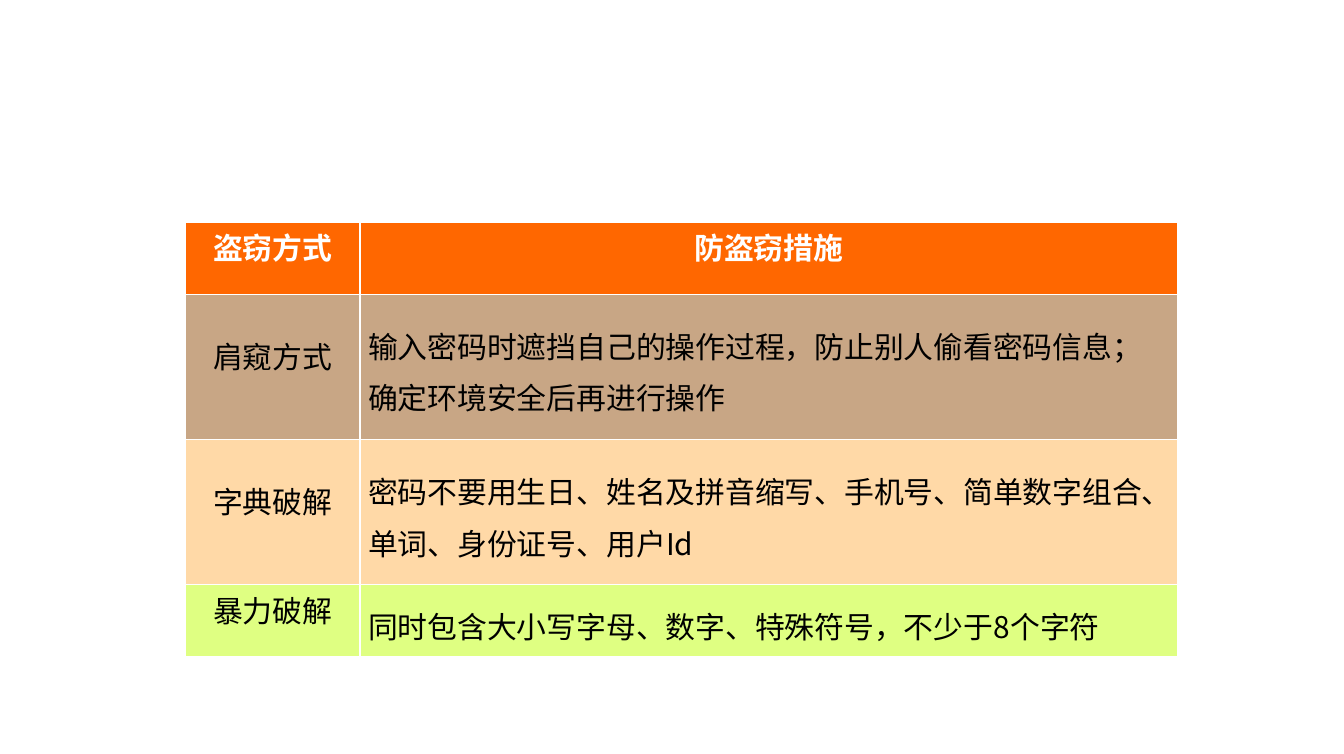
import pptx
import pptx.dml.color
import pptx.enum.text
import pptx.oxml.ns
import pptx.util
from lxml import etree

PX = 9144  # EMU; 100 px make an inch
FONT = "Noto Sans CJK SC"
ALIGN = pptx.enum.text.PP_ALIGN
COLS = [130, 608]
UNIT = 54
ROWS = [
    ("FF6700", 1, "盗窃方式", "防盗窃措施"),
    ("C8A685", 2, "肩窥方式",
     "输入密码时遮挡自己的操作过程，防止别人偷看密码信息；确定环境安全后再进行操作"),
    ("FFD9A7", 2, "字典破解",
     "密码不要用生日、姓名及拼音缩写、手机号、简单数字组合、单词、身份证号、用户Id"),
    ("DFFF82", 1, "暴力破解", "同时包含大小写字母、数字、特殊符号，不少于8个字符"),
]


def px(n):
    return pptx.util.Emu(n * PX)


def rgb(code):
    return pptx.dml.color.RGBColor.from_string(code)


def sub(node, tag, **attrs):
    return etree.SubElement(node, pptx.oxml.ns.qn(tag), **attrs)


class Deck:
    def __init__(self, wide, high):
        self.pres = pptx.Presentation()
        self.pres.slide_width, self.pres.slide_height = px(wide), px(high)
        self.slide = self.pres.slides.add_slide(self.pres.slide_layouts[6])
        self.size = pptx.util.Pt(16)

    def edge(self, cell, color="FFFFFF"):
        """Line all four sides of a cell; call before the fill is set."""
        props = cell._tc.get_or_add_tcPr()
        for side in "LRTB":
            line = sub(props, f"a:ln{side}", w=str(pptx.util.Pt(1)))
            sub(sub(line, "a:solidFill"), "a:srgbClr", val=color)

    def cell(self, cell, text, fill, head, center):
        self.edge(cell)
        cell.fill.solid()
        cell.fill.fore_color.rgb = rgb(fill)
        cell.margin_left = cell.margin_right = px(6)
        cell.margin_top = cell.margin_bottom = 0
        cell.vertical_anchor = pptx.enum.text.MSO_ANCHOR.MIDDLE
        para = cell.text_frame.paragraphs[0]
        para.text = text
        para.alignment = ALIGN.CENTER if center else ALIGN.LEFT
        para.line_spacing = pptx.util.Pt(10.6) if center else 1.2
        font = para.runs[0].font
        font.size, font.bold, font.name = self.size, head, FONT
        font.color.rgb = rgb("FFFFFF" if head else "000000")
        sub(para.runs[0]._r.get_or_add_rPr(), "a:ea", typeface=FONT)

    def table(self, left, top, cols, rows):
        high = UNIT * sum(row[1] for row in rows)
        grid = self.slide.shapes.add_table(
            len(rows), len(cols), px(left), px(top), px(sum(cols)), px(high)).table
        for col, wide in zip(grid.columns, cols):
            col.width = px(wide)
        for r, (fill, units, *texts) in enumerate(rows):
            grid.rows[r].height = px(units * UNIT)
            for c, text in enumerate(texts):
                self.cell(grid.cell(r, c), text, fill, r == 0, r == 0 or c == 0)


def main():
    deck = Deck(1000, 561)
    deck.table(138, 165, COLS, ROWS)
    deck.pres.save("out.pptx")


if __name__ == "__main__":
    main()
